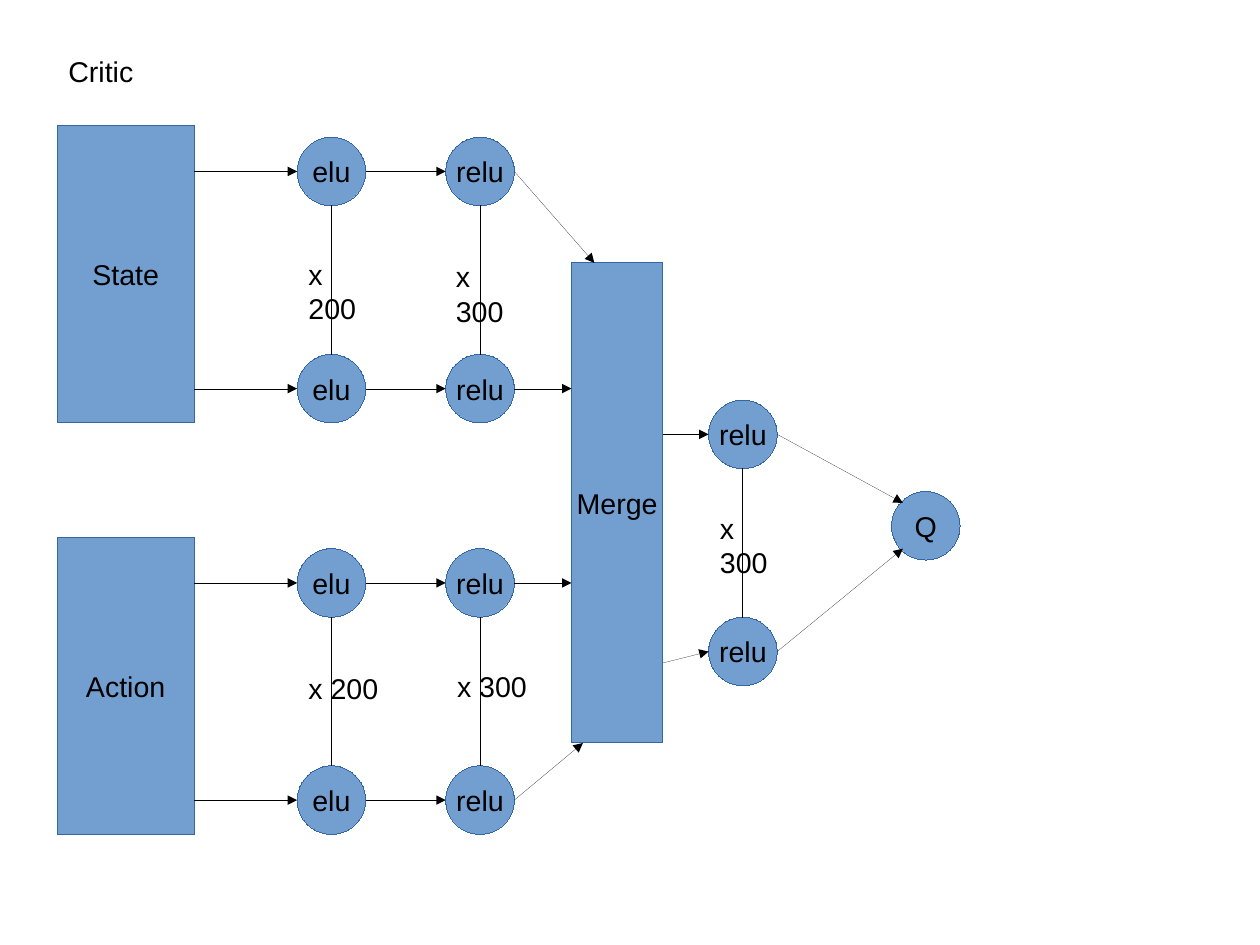
from lxml import etree
from pptx import Presentation
from pptx.dml.color import RGBColor
from pptx.enum.shapes import MSO_CONNECTOR, MSO_SHAPE
from pptx.enum.text import MSO_ANCHOR, MSO_AUTO_SIZE, PP_ALIGN
from pptx.oxml.ns import qn
from pptx.util import Pt

COLORS = {"fill": "729FCF", "outline": "3465A4", "ink": "000000"}
D = 43.2  # node diameter
R = D / 2

prs = Presentation()
prs.slide_width, prs.slide_height = Pt(793.7), Pt(595.28)
s = prs.slides.add_slide(prs.slide_layouts[6])


def add_block(kind, text, x, y, w, h):
    """Add a filled shape with a hairline outline and a centred label."""
    sp = s.shapes.add_shape(kind, Pt(x), Pt(y), Pt(w), Pt(h))
    sp.shadow.inherit = False
    sp.fill.solid()
    sp.fill.fore_color.rgb = RGBColor.from_string(COLORS["fill"])
    sp.line.color.rgb = RGBColor.from_string(COLORS["outline"])
    sp.element.spPr.find(qn("a:ln")).set("w", "0")
    tf = sp.text_frame
    tf.word_wrap = False
    tf.vertical_anchor = MSO_ANCHOR.MIDDLE
    p = tf.paragraphs[0]
    p.text = text
    p.alignment = PP_ALIGN.CENTER
    p.font.size, p.font.name = Pt(18), "Arial"
    p.font.color.rgb = RGBColor.from_string(COLORS["ink"])


def add_hairline(x1, y1, x2, y2, arrow=True):
    line = s.shapes.add_connector(MSO_CONNECTOR.STRAIGHT, Pt(x1), Pt(y1), Pt(x2), Pt(y2))
    line.line.color.rgb = RGBColor.from_string(COLORS["ink"])
    spPr = line.element.spPr
    ln = spPr.find(qn("a:ln"))
    ln.set("w", "0")
    if arrow:
        etree.SubElement(ln, qn("a:tailEnd"), type="triangle")
    etree.SubElement(spPr, qn("a:effectLst"))


# Input and merge blocks
for text, x, y, w, h in [
    ("State", 36, 79.2, 86.4, 187.2),
    ("Action", 36, 338.4, 86.4, 187.2),
    ("Merge", 360, 165.6, 57.6, 302.4),
]:
    add_block(MSO_SHAPE.RECTANGLE, text, x, y, w, h)

# Layers: first and last node, joined by a vertical line
ELU_X, RELU_X, MERGED_X = 208.8, 302.4, 468  # node centres
GAP = 136.8  # first to last node of a layer
STATE_Y, ACTION_Y, MERGED_Y = 108, 367.2, 273.6
for text, x, y in [
    ("elu", ELU_X, STATE_Y),
    ("relu", RELU_X, STATE_Y),
    ("elu", ELU_X, ACTION_Y),
    ("relu", RELU_X, ACTION_Y),
    ("relu", MERGED_X, MERGED_Y),
]:
    for node_y in (y, y + GAP):
        add_block(MSO_SHAPE.OVAL, text, x - R, node_y - R, D, D)
    add_hairline(x, y + R, x, y + GAP - R, arrow=False)
add_block(MSO_SHAPE.OVAL, "Q", 561.6, 309.6, D, D)

# Arrows from the inputs through both layers
for y in (STATE_Y, STATE_Y + GAP, ACTION_Y, ACTION_Y + GAP):
    add_hairline(122.4, y, ELU_X - R, y)
    add_hairline(ELU_X + R, y, RELU_X - R, y)

# Arrows into the merge block
for y, end_x, end_y in [
    (STATE_Y, 374.4, 165.6),
    (STATE_Y + GAP, 360, STATE_Y + GAP),
    (ACTION_Y, 360, ACTION_Y),
    (ACTION_Y + GAP, 367.2, 468),
]:
    add_hairline(RELU_X + R, y, end_x, end_y)

# Arrows from the merge block to Q
for start_y, y, q_y in [(273.6, MERGED_Y, 316.8), (417.6, MERGED_Y + GAP, 345.6)]:
    add_hairline(417.6, start_y, MERGED_X - R, y)
    add_hairline(MERGED_X + R, y, 568.8, q_y)

# Title and layer sizes
for text, x, y, w, h, wrap in [
    ("Critic", 36, 30.24, 55.44, 27.36, False),
    ("x 200", 187.2, 158.4, 57.6, 47.52, True),
    ("x 300", 280.08, 159.84, 57.6, 47.52, True),
    ("x 200", 187.2, 419.04, 58.32, 27.36, False),
    ("x 300", 280.8, 417.6, 58.32, 27.36, False),
    ("x 300", 446.4, 318.24, 57.6, 47.52, True),
]:
    tf = s.shapes.add_textbox(Pt(x), Pt(y), Pt(w), Pt(h)).text_frame
    tf.word_wrap = wrap
    tf.auto_size = MSO_AUTO_SIZE.SHAPE_TO_FIT_TEXT
    p = tf.paragraphs[0]
    p.text = text
    p.font.size, p.font.name = Pt(18), "Arial"
    p.font.color.rgb = RGBColor.from_string(COLORS["ink"])

prs.save("out.pptx")
